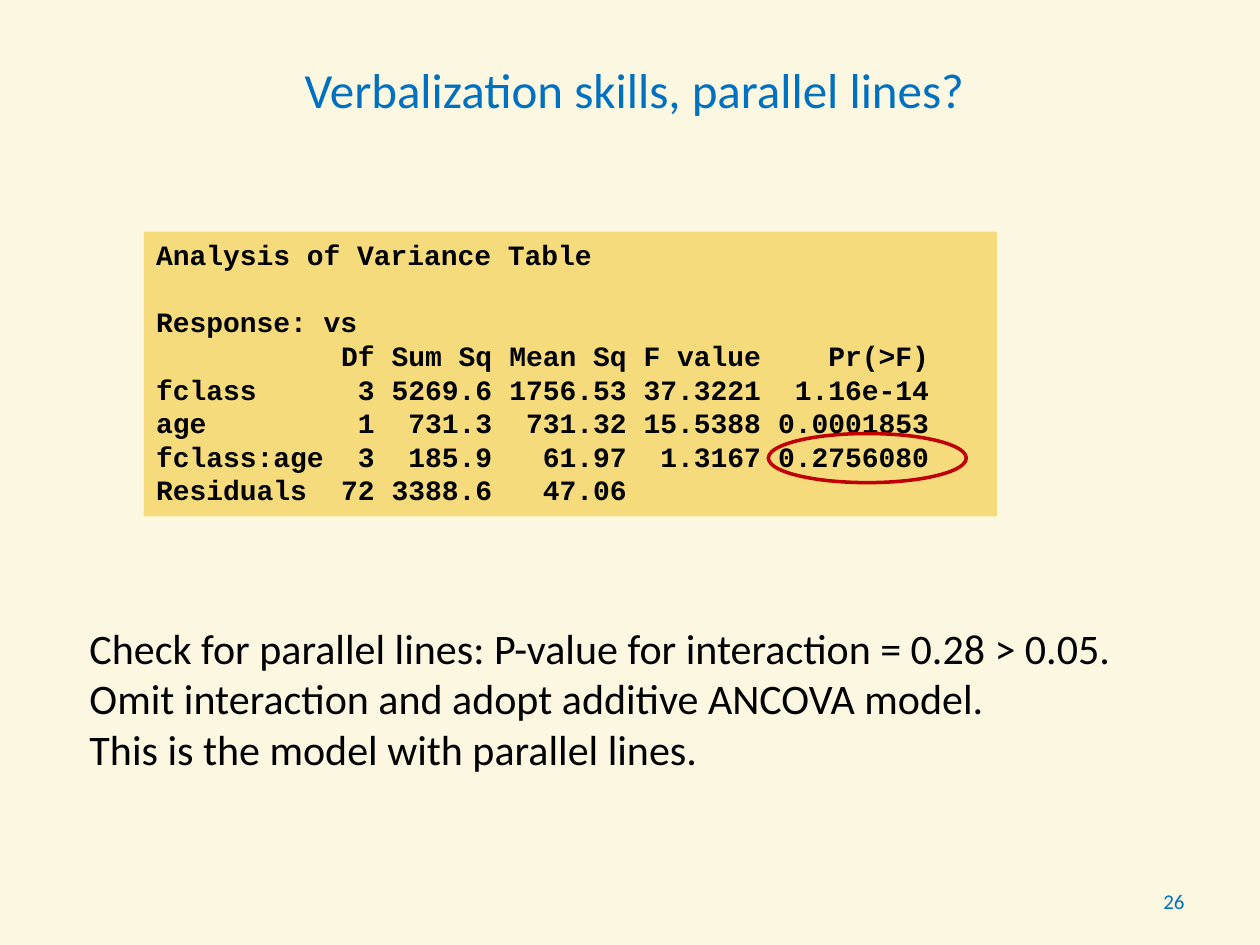
from dataclasses import dataclass

from lxml.etree import SubElement
from pptx import Presentation
from pptx.dml.color import RGBColor
from pptx.enum.shapes import MSO_SHAPE
from pptx.enum.text import MSO_ANCHOR, MSO_AUTO_SIZE, PP_ALIGN
from pptx.oxml.ns import qn
from pptx.util import Cm, Pt


@dataclass(frozen=True)
class Theme:
    paper: str = "FBF7E0"
    panel: str = "F5DB7B"
    accent: str = "0070C0"
    ink: str = "000000"
    mark: str = "C00000"
    sans: str = "Calibri"
    mono: str = "Courier New"
    title: int = 28
    body: int = 24
    code: int = 16
    small: int = 12
    code_leading: float = 19.2


class AnovaSlide:
    """Hold the theme and the current slide, and draw each kind of element."""

    def __init__(self, prs, theme):
        self.theme = theme
        self.s = prs.slides.add_slide(prs.slide_layouts[1])
        fill = self.s.background.fill
        fill.solid()
        fill.fore_color.rgb = RGBColor.from_string(theme.paper)

    def place(self, sp, box):
        for name, value in zip(("left", "top", "width", "height"), box):
            setattr(sp, name, Cm(value))

    def set_text(self, sp, lines, font, size, color, bold=False,
                 align=PP_ALIGN.LEFT, anchor=MSO_ANCHOR.TOP):
        tf = sp.text_frame
        frame = {"word_wrap": True, "auto_size": MSO_AUTO_SIZE.NONE,
                 "vertical_anchor": anchor}
        for name, value in frame.items():
            setattr(tf, name, value)
        style = {"name": font, "size": Pt(size), "bold": bold}
        for i, line in enumerate(lines):
            p = tf.add_paragraph() if i else tf.paragraphs[0]
            p.alignment = align
            p.space_before = Pt(0)
            r = p.add_run()
            r.text = line
            for name, value in style.items():
                setattr(r.font, name, value)
            r.font.color.rgb = RGBColor.from_string(color)
        return tf

    def title(self, text, box):
        t = self.theme
        sp = self.s.shapes.title
        self.place(sp, box)
        self.set_text(sp, [text], t.sans, t.title, t.accent,
                      align=PP_ALIGN.CENTER, anchor=MSO_ANCHOR.MIDDLE)

    def body(self, lines, box):
        t = self.theme
        sp = self.s.placeholders[1]
        self.place(sp, box)
        for p in self.set_text(sp, lines, t.sans, t.body, t.ink).paragraphs:
            pPr = p._p.get_or_add_pPr()
            for name in ("marL", "indent"):
                pPr.set(name, "0")
            SubElement(pPr, qn("a:buNone"))

    def shape(self, kind, box):
        sp = self.s.shapes.add_shape(kind, *map(Cm, box))
        sp.shadow.inherit = False
        return sp

    def printout(self, heading, rows, column_ends, box):
        """Set the output in monospace, with right tabs at character columns."""
        t = self.theme
        sp = self.shape(MSO_SHAPE.RECTANGLE, box)
        sp.fill.solid()
        sp.fill.fore_color.rgb = RGBColor.from_string(t.panel)
        sp.line.fill.background()
        lines = heading + ["\t".join(row) for row in rows]
        tf = self.set_text(sp, lines, t.mono, t.code, t.ink, bold=True)
        char = 0.6 * t.code / 72 * 2.54
        for p in tf.paragraphs:
            p.line_spacing = Pt(t.code_leading)
        tf.paragraphs[1].space_before = Pt(t.code_leading)
        for p in tf.paragraphs[len(heading):]:
            tabs = SubElement(p._p.get_or_add_pPr(), qn("a:tabLst"))
            for end in column_ends:
                SubElement(tabs, qn("a:tab"), pos=str(Cm(char * end)), algn="r")

    def ring(self, box):
        sp = self.shape(MSO_SHAPE.OVAL, box)
        sp.fill.background()
        sp.line.color.rgb = RGBColor.from_string(self.theme.mark)
        sp.line.width = Pt(2)

    def number(self, text, box):
        t = self.theme
        sp = self.s.shapes.add_textbox(*map(Cm, box))
        self.set_text(sp, [text], t.sans, t.small, t.accent,
                      align=PP_ALIGN.RIGHT, anchor=MSO_ANCHOR.MIDDLE)


def main():
    prs = Presentation()
    prs.slide_width, prs.slide_height = Cm(25.4), Cm(19.05)
    slide = AnovaSlide(prs, Theme())
    slide.title("Verbalization skills, parallel lines?", (1.19, 1.07, 23.19, 1.45))
    slide.printout(
        ["Analysis of Variance Table", "Response: vs"],
        [
            ("", "Df", "Sum Sq", "Mean Sq", "F value", "Pr(>F)"),
            ("fclass", "3", "5269.6", "1756.53", "37.3221", "1.16e-14"),
            ("age", "1", "731.3", "731.32", "15.5388", "0.0001853"),
            ("fclass:age", "3", "185.9", "61.97", "1.3167", "0.2756080"),
            ("Residuals", "72", "3388.6", "47.06"),
        ],
        (13, 20, 28, 36, 46),
        (2.9, 4.67, 17.2, 5.74),
    )
    slide.ring((15.49, 8.74, 3.99, 0.99))
    slide.body(
        [
            "Check for parallel lines: P-value for interaction = 0.28 > 0.05.",
            "Omit interaction and adopt additive ANCOVA model.",
            "This is the model with parallel lines.",
        ],
        (1.55, 12.42, 22.71, 3.33),
    )
    slide.number("26", (22.3, 17.65, 1.83, 1.02))
    prs.save("out.pptx")


if __name__ == "__main__":
    main()
